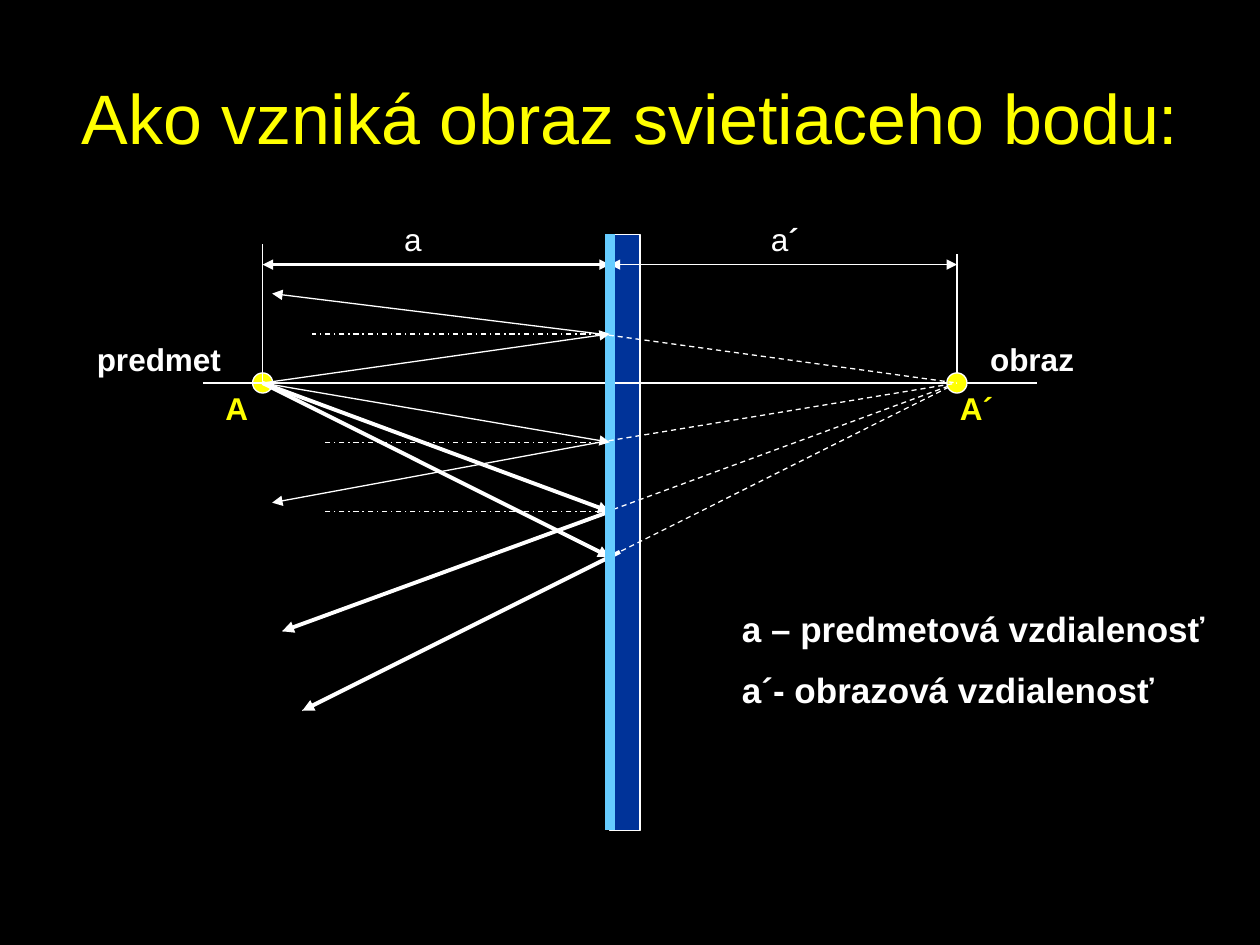
import dataclasses

import lxml.etree
import pptx
import pptx.dml.color
import pptx.enum.dml
import pptx.enum.shapes
import pptx.enum.text
import pptx.oxml.ns
import pptx.util

COLUMNS, ROWS = 100, 75
CELL = pptx.util.Inches(0.1)
MIRROR, AXIS, DISTANCE = 48.4, 30.4, 27.55
OBJECT = (MIRROR - DISTANCE, AXIS)
IMAGE = (MIRROR + DISTANCE, AXIS)
FACE = MIRROR - 0.8
TOP, BOTTOM = 18.6, 65.9
DIMENSION_ROW = 21
DASH = pptx.enum.dml.MSO_LINE.DASH
DASH_DOT = pptx.enum.dml.MSO_LINE.DASH_DOT


@dataclasses.dataclass(frozen=True)
class Theme:
    font: str = "Arial"
    background: str = "000000"
    ink: str = "FFFFFF"
    accent: str = "FFFF00"
    glass: str = "003399"
    surface: str = "66CCFF"
    title_size: float = 40
    label_size: float = 18
    legend_size: float = 20
    thin: float = 0.75
    medium: float = 1.5
    thick: float = 2.25
    surface_width: float = 6


THEME = Theme()


def color(value):
    return pptx.dml.color.RGBColor.from_string(value)


def cells(*values):
    return [round(value * CELL) for value in values]


def format_font(font, size, ink, bold=False):
    font.name = THEME.font
    font.size = pptx.util.Pt(size)
    font.bold = bold
    font.color.rgb = color(ink)


def add_title(page, text):
    title = page.shapes.title
    title.left, title.top, title.width, title.height = cells(5, 3, 90, 12.5)
    frame = title.text_frame
    frame.text = text
    frame.vertical_anchor = pptx.enum.text.MSO_ANCHOR.MIDDLE
    para = frame.paragraphs[0]
    para.alignment = pptx.enum.text.PP_ALIGN.CENTER
    format_font(para.runs[0].font, THEME.title_size, THEME.accent)


def add_text(page, area, lines, size=THEME.label_size, ink=THEME.ink, bold=True):
    frame = page.shapes.add_textbox(*cells(*area)).text_frame
    frame.word_wrap = True
    frame.auto_size = pptx.enum.text.MSO_AUTO_SIZE.SHAPE_TO_FIT_TEXT
    frame.text = "\n".join(lines)
    for index, para in enumerate(frame.paragraphs):
        if index:
            para.space_before = pptx.util.Pt(size * 0.55)
        for span in para.runs:
            format_font(span.font, size, ink, bold)
    return frame


def add_solid(page, kind, area, fill):
    shape = page.shapes.add_shape(kind, *cells(*area))
    shape.shadow.inherit = False
    shape.fill.solid()
    shape.fill.fore_color.rgb = color(fill)
    shape.line.color.rgb = color(THEME.ink)
    shape.line.width = pptx.util.Pt(THEME.thin)


def add_point(page, center):
    area = (center[0] - 0.8, center[1] - 0.8, 1.6, 1.6)
    add_solid(page, pptx.enum.shapes.MSO_SHAPE.OVAL, area, THEME.accent)


def add_line(page, start, end, width=THEME.thin, ink=THEME.ink, dash=None, arrows=()):
    straight = pptx.enum.shapes.MSO_CONNECTOR.STRAIGHT
    connector = page.shapes.add_connector(straight, *cells(*start, *end))
    connector.line.color.rgb = color(ink)
    connector.line.width = pptx.util.Pt(width)
    if dash:
        connector.line.dash_style = dash
    outline = connector.line._get_or_add_ln()
    qn = pptx.oxml.ns.qn
    for arrow in arrows:
        lxml.etree.SubElement(outline, qn(f"a:{arrow}End")).set("type", "triangle")
    lxml.etree.SubElement(connector.element.spPr, qn("a:effectLst"))


def add_ray(page, start, end, width=THEME.thin):
    add_line(page, start, end, width, arrows=("tail",))


def add_dimensions(page):
    both = ("head", "tail")
    center = (MIRROR, DIMENSION_ROW)
    add_line(page, OBJECT, (OBJECT[0], 19.4))
    add_line(page, (OBJECT[0], DIMENSION_ROW), center, THEME.medium, arrows=both)
    add_line(page, center, (IMAGE[0], DIMENSION_ROW), arrows=both)
    add_line(page, (IMAGE[0], 20.2), (IMAGE[0], 31.2))


def add_thick_rays(page):
    reflections = [((MIRROR, 40.6), (22.4, 50.1)), ((MIRROR + 0.8, 43.8), (24, 56.4))]
    for start, end in reflections:
        add_line(page, IMAGE, end, dash=DASH)
        add_ray(page, start, end, THEME.thick)
    for row in (44.2, 40.6):
        add_ray(page, OBJECT, (MIRROR, row), THEME.thick)


def add_thin_rays(page):
    for row, end_row in ((35.1, 39.9), (26.5, 23.3)):
        add_ray(page, OBJECT, (MIRROR, row))
        add_ray(page, (FACE, row), (21.6, end_row))
        add_line(page, (FACE, row), IMAGE, dash=DASH)
    for row, end in ((40.6, 25.6), (35.1, 25.6), (26.5, 24.8)):
        add_line(page, (FACE, row), (end, row), dash=DASH_DOT)


def add_labels(page):
    add_text(page, (16.9, AXIS, 3.9, 4), ["A"], ink=THEME.accent)
    add_text(page, (75.2, AXIS, 4.7, 4), ["A´"], ink=THEME.accent)
    add_text(page, (31.1, 17, 4.7, 4), ["a"], bold=False)
    frame = add_text(page, (60.2, 17, 4.7, 4), ["a"], bold=False)
    prime = frame.paragraphs[0].add_run()
    prime.text = "´"
    format_font(prime.font, THEME.label_size, THEME.ink, True)
    add_text(page, (6.7, 26.5, 12.6, 4), ["predmet"])
    add_text(page, (77.6, 26.5, 11, 4), ["obraz"])
    legend = ["a – predmetová vzdialenosť", "a´- obrazová vzdialenosť"]
    add_text(page, (57.9, 47.7, 42.1, 9.3), legend, THEME.legend_size)


def main():
    deck = pptx.Presentation()
    deck.slide_width, deck.slide_height = cells(COLUMNS, ROWS)
    page = deck.slides.add_slide(deck.slide_layouts.get_by_name("Title Only"))
    page.background.fill.solid()
    page.background.fill.fore_color.rgb = color(THEME.background)
    add_title(page, "Ako vzniká obraz svietiaceho bodu:")
    glass = (MIRROR, TOP, 2.4, BOTTOM - TOP)
    add_solid(page, pptx.enum.shapes.MSO_SHAPE.RECTANGLE, glass, THEME.glass)
    add_point(page, OBJECT)
    add_line(page, (16.1, AXIS), (82.3, AXIS))
    add_dimensions(page)
    add_thick_rays(page)
    add_line(page, (MIRROR, TOP), (MIRROR, BOTTOM), THEME.surface_width, THEME.surface)
    add_point(page, IMAGE)
    add_thin_rays(page)
    add_labels(page)
    deck.save("out.pptx")


if __name__ == "__main__":
    main()
